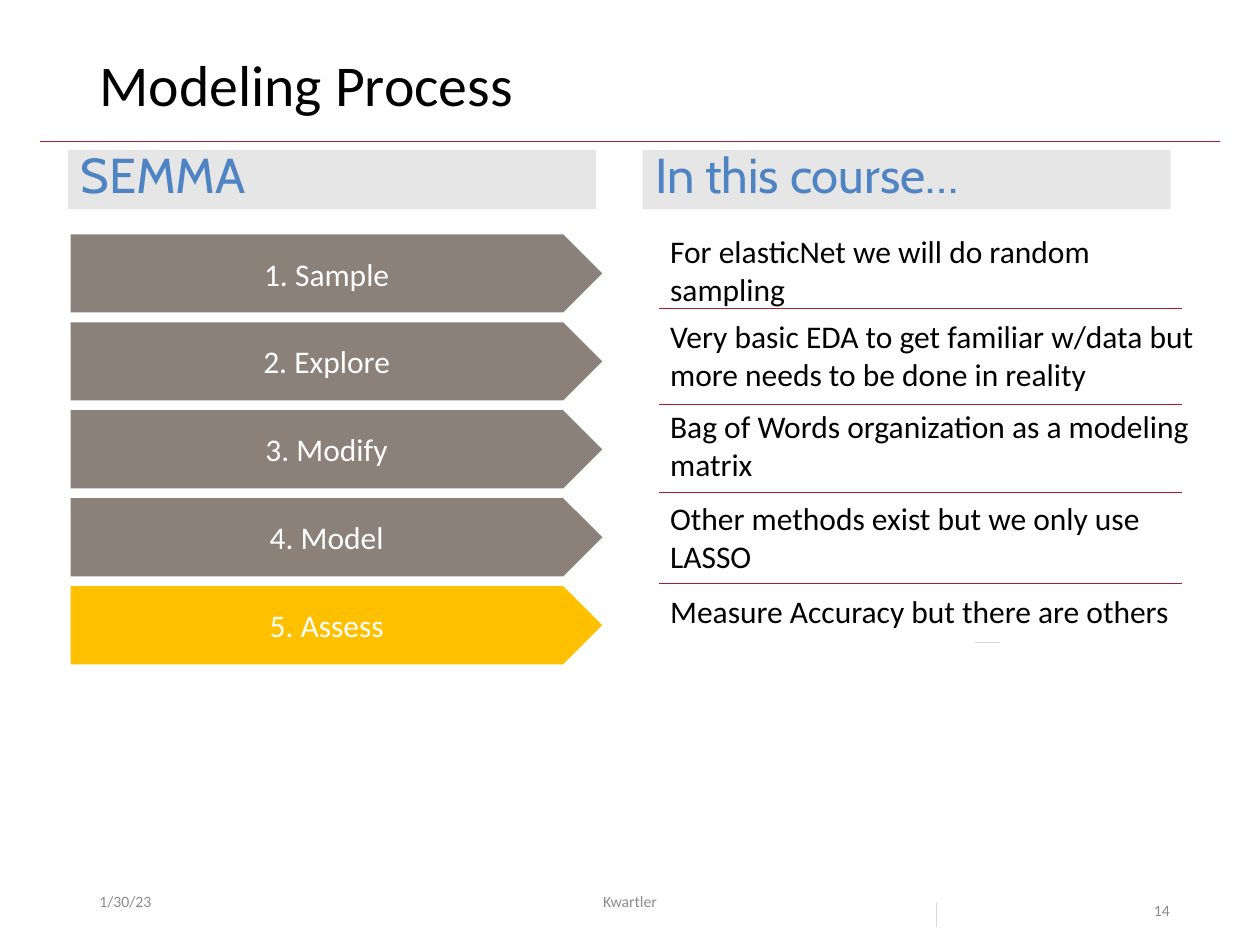
import pptx
import pptx.dml.color
import pptx.enum.shapes
import pptx.enum.text
import pptx.oxml.ns
import pptx.util
from lxml import etree

# The slide is a grid of 100 columns by 75 rows of square cells.
COLUMNS, ROWS = 100, 75
CELL = pptx.util.Inches(0.1)

COLORS = {
    "ink": "000000", "white": "FFFFFF", "muted": "8C8C8C", "crimson": "A51C30",
    "stone": "8C8179", "gold": "FFC000", "band": "E7E6E6", "blue": "4E84C4",
    "hairline": "D9D9D9",
}
SHAPES = pptx.enum.shapes.MSO_SHAPE
CENTER = pptx.enum.text.PP_ALIGN.CENTER
TOP = pptx.enum.text.MSO_ANCHOR.TOP
MIDDLE = pptx.enum.text.MSO_ANCHOR.MIDDLE

BODY = {"size": 18, "color": "ink"}
STEP = {"size": 18, "color": "white", "anchor": MIDDLE,
        "paragraph": {"alignment": CENTER}}
TITLE = {"size": 33, "color": "ink", "paragraph": {"line_spacing": 0.9}}
HEADING = {"size": 28, "color": "blue", "font": "Cabin",
           "paragraph": {"line_spacing": 0.8, "space_before": pptx.util.Pt(7.5)}}
FOOTER = {"size": 9, "color": "muted", "anchor": MIDDLE}
FOOTER_CENTER = {**FOOTER, "paragraph": {"alignment": CENTER}}
PAGE_NUMBER = {"size": 9, "color": "muted", "paragraph": {"line_spacing": 2.0}}

HEADINGS = [("SEMMA", 5.4), ("In this course…", 51)]
STEPS = ["Sample", "Explore", "Modify", "Model", "Assess"]
FIRST_STEP_ROW, STEP_PITCH = 18.6, 6.98
# Each note: text, top row, width, height
NOTES = [
    ("For elasticNet we will do random sampling", 17.9, 41.8, 7.1),
    ("Very basic EDA to get familiar w/data but more needs to be done in reality",
     24.7, 47.8, 7.1),
    ("Bag of Words organization as a modeling matrix", 31.8, 45.5, 7.1),
    ("Other methods exist but we only use LASSO", 39.1, 41.8, 7.1),
    ("Measure Accuracy but there are others", 46.5, 41.8, 4),
]
NOTE_COLUMN = 52.2
NOTE_RULE_ROWS = [24.5, 32.1, 39.1, 46.3]


def cells(*counts):
    return [round(count * CELL) for count in counts]


def color(name):
    return pptx.dml.color.RGBColor.from_string(COLORS[name])


def set_all(target, values):
    for name, value in values.items():
        setattr(target, name, value)


def write(shape, text, style):
    frame = shape.text_frame
    set_all(frame, {"word_wrap": True, "vertical_anchor": style.get("anchor", TOP)})
    para = frame.paragraphs[0]
    set_all(para, {"alignment": pptx.enum.text.PP_ALIGN.LEFT,
                   **style.get("paragraph", {})})
    span = para.add_run()
    span.text = text
    set_all(span.font, {"name": style.get("font", "Calibri"),
                        "size": pptx.util.Pt(style["size"])})
    span.font.color.rgb = color(style["color"])


def add_text(page, text, area, style):
    box = page.shapes.add_textbox(*cells(*area))
    write(box, text, style)


def add_block(page, kind, text, area, fill, style):
    block = page.shapes.add_shape(kind, *cells(*area))
    block.shadow.inherit = False
    block.fill.solid()
    block.fill.fore_color.rgb = color(fill)
    block.line.fill.background()
    write(block, text, style)


def add_rule(page, start, end, line_color):
    rule = page.shapes.add_connector(
        pptx.enum.shapes.MSO_CONNECTOR.STRAIGHT, *cells(*start, *end))
    rule.line.width = pptx.util.Pt(0.5)
    rule.line.color.rgb = color(line_color)
    etree.SubElement(rule.element.spPr, pptx.oxml.ns.qn("a:effectLst"))


def add_steps(page):
    for index, name in enumerate(STEPS):
        area = (5.6, FIRST_STEP_ROW + index * STEP_PITCH, 42.2, 6.2)
        fill = "gold" if name == STEPS[-1] else "stone"
        add_block(page, SHAPES.PENTAGON, f"{index + 1}. {name}", area, fill, STEP)


def add_notes(page):
    for text, top, width, height in NOTES:
        add_text(page, text, (NOTE_COLUMN, top, width, height), BODY)
    for row in NOTE_RULE_ROWS:
        add_rule(page, (52.3, row), (93.8, row), "crimson")


def add_footer(page):
    add_text(page, "1/30/23", (6.9, 69.5, 22.5, 4), FOOTER)
    add_text(page, "Kwartler", (33.1, 69.5, 33.8, 4), FOOTER_CENTER)
    add_text(page, "14", (90.6, 69.5, 9.4, 4), PAGE_NUMBER)
    add_rule(page, (74.3, 71.6), (74.3, 73.6), "hairline")


def main():
    deck = pptx.Presentation()
    deck.slide_width, deck.slide_height = cells(COLUMNS, ROWS)
    page = deck.slides.add_slide(deck.slide_layouts[6])

    add_rule(page, (3.2, 11.2), (96.8, 11.2), "crimson")
    add_text(page, "Modeling Process", (6.9, 4, 86.2, 6.5), TITLE)
    for text, column in HEADINGS:
        add_block(page, SHAPES.RECTANGLE, text, (column, 11.9, 41.9, 4.7),
                  "band", HEADING)
    add_steps(page)
    add_notes(page)
    add_rule(page, (77.4, 51), (79.4, 51), "hairline")
    add_footer(page)
    deck.save("out.pptx")


if __name__ == "__main__":
    main()
